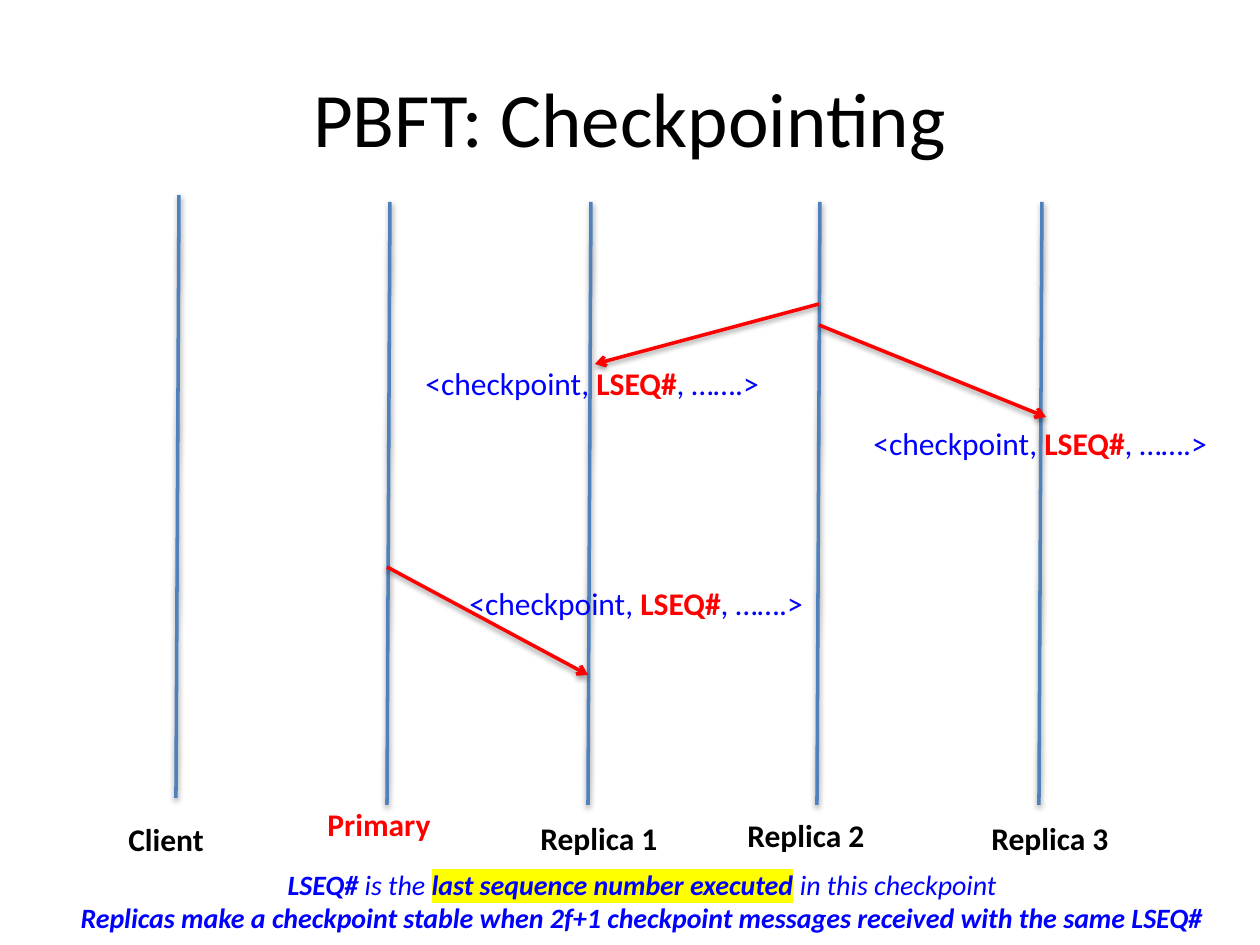
from lxml import etree
from pptx import Presentation
from pptx.dml.color import RGBColor
from pptx.enum.shapes import MSO_CONNECTOR
from pptx.enum.text import MSO_ANCHOR, PP_ALIGN
from pptx.oxml import parse_xml
from pptx.oxml.ns import qn
from pptx.util import Pt

PX = 914400 // 126
STRAIGHT = MSO_CONNECTOR.STRAIGHT
LEFT, CENTER = PP_ALIGN.LEFT, PP_ALIGN.CENTER
TOP, MIDDLE = MSO_ANCHOR.TOP, MSO_ANCHOR.MIDDLE
BLACK = RGBColor(0, 0, 0)
RED = RGBColor(0xFF, 0, 0)
BLUE = RGBColor(0, 0, 0xFF)
STEEL = RGBColor(0x4F, 0x81, 0xBD)
YELLOW = RGBColor(0xFF, 0xFF, 0)
SHADOW = (
    '<a:effectLst xmlns:a="http://schemas.openxmlformats.org/drawingml/2006/main">'
    '<a:outerShdw blurRad="40000" dist="20000" dir="5400000" rotWithShape="0">'
    '<a:srgbClr val="000000"><a:alpha val="38000"/></a:srgbClr>'
    '</a:outerShdw></a:effectLst>')


def add_text(slide, box, paragraphs, size, align=LEFT, anchor=TOP, wrap=False):
    """Place paragraphs of (text, colour, bold, italic, highlight) runs in a box."""
    sp = slide.shapes.add_textbox(*(v * PX for v in box))
    tf = sp.text_frame
    tf.word_wrap = wrap
    tf.vertical_anchor = anchor
    for i, runs in enumerate(paragraphs):
        p = tf.add_paragraph() if i else tf.paragraphs[0]
        p.alignment = align
        for text, color, bold, italic, highlight in runs:
            r = p.add_run()
            r.text = text
            font = r.font
            font.name, font.size = "Calibri", Pt(size)
            font.bold, font.italic = bold, italic
            font.color.rgb = color
            if highlight:
                mark = etree.Element(qn("a:highlight"))
                etree.SubElement(mark, qn("a:srgbClr"), val=str(highlight))
                r._r.rPr.find(qn("a:solidFill")).addnext(mark)


def add_line(slide, start, end, color, arrow=False):
    """Draw a shadowed line, with an arrowhead at its end if asked."""
    cxn = slide.shapes.add_connector(STRAIGHT, *(v * PX for v in start + end))
    cxn.line.color.rgb = color
    cxn.line.width = Pt(2)
    if arrow:
        etree.SubElement(cxn.line._ln, qn("a:tailEnd"), type="arrow")
    cxn._element.spPr.append(parse_xml(SHADOW))


def add_lifeline(slide, name, x, top, label_box, color=BLACK, align=LEFT):
    """Draw one participant's time line and the name below it."""
    add_line(slide, (x, top), (x - 3, top + 603), STEEL)
    add_text(slide, label_box, [[(name, color, True, False, None)]], 18, align)


def add_message(slide, start, end, left, top):
    """Draw a checkpoint message arrow and its text."""
    add_line(slide, start, end, RED, arrow=True)
    runs = [("<checkpoint, ", BLUE, False, False, None),
            ("LSEQ#", RED, True, False, None),
            (", …….> ", BLUE, False, False, None)]
    add_text(slide, (left, top, 370, 50), [runs], 18)


def add_summary(slide, box):
    """Place the two-line explanation at the foot of the slide."""
    definition = [("LSEQ# ", BLUE, True, True, None),
                  ("is the ", BLUE, False, True, None),
                  ("last sequence number executed", BLUE, True, True, YELLOW),
                  (" ", BLUE, True, True, None),
                  ("in this checkpoint", BLUE, False, True, None)]
    rule = [("Replicas make a checkpoint stable when 2f+1 checkpoint messages "
             "received with the same LSEQ#", BLUE, True, True, None)]
    add_text(slide, box, [definition, rule], 16, CENTER)


def build_slide(prs):
    """Build the checkpointing sequence diagram."""
    slide = prs.slides.add_slide(prs.slide_layouts[6])
    add_text(slide, (63, 38, 1134, 157),
             [[("PBFT: Checkpointing", BLACK, False, False, None)]],
             44, CENTER, MIDDLE, wrap=True)
    add_lifeline(slide, "Client", 179, 195, (116, 814, 102, 50))
    add_lifeline(slide, "Primary", 390, 202, (314, 799, 130, 50), RED, CENTER)
    replicas = [(591, 528, 813), (820, 735, 810), (1042, 979, 813)]
    for number, (x, left, top) in enumerate(replicas, 1):
        add_lifeline(slide, f"Replica {number}", x, 202, (left, top, 145, 50))
    add_summary(slide, (60, 861, 1164, 84))
    add_message(slide, (819, 304), (595, 364), 413, 358)
    add_message(slide, (819, 325), (1046, 417), 861, 418)
    add_message(slide, (387, 567), (588, 675), 457, 578)


prs = Presentation()
prs.slide_width, prs.slide_height = 1260 * PX, 945 * PX
build_slide(prs)
prs.save("out.pptx")
